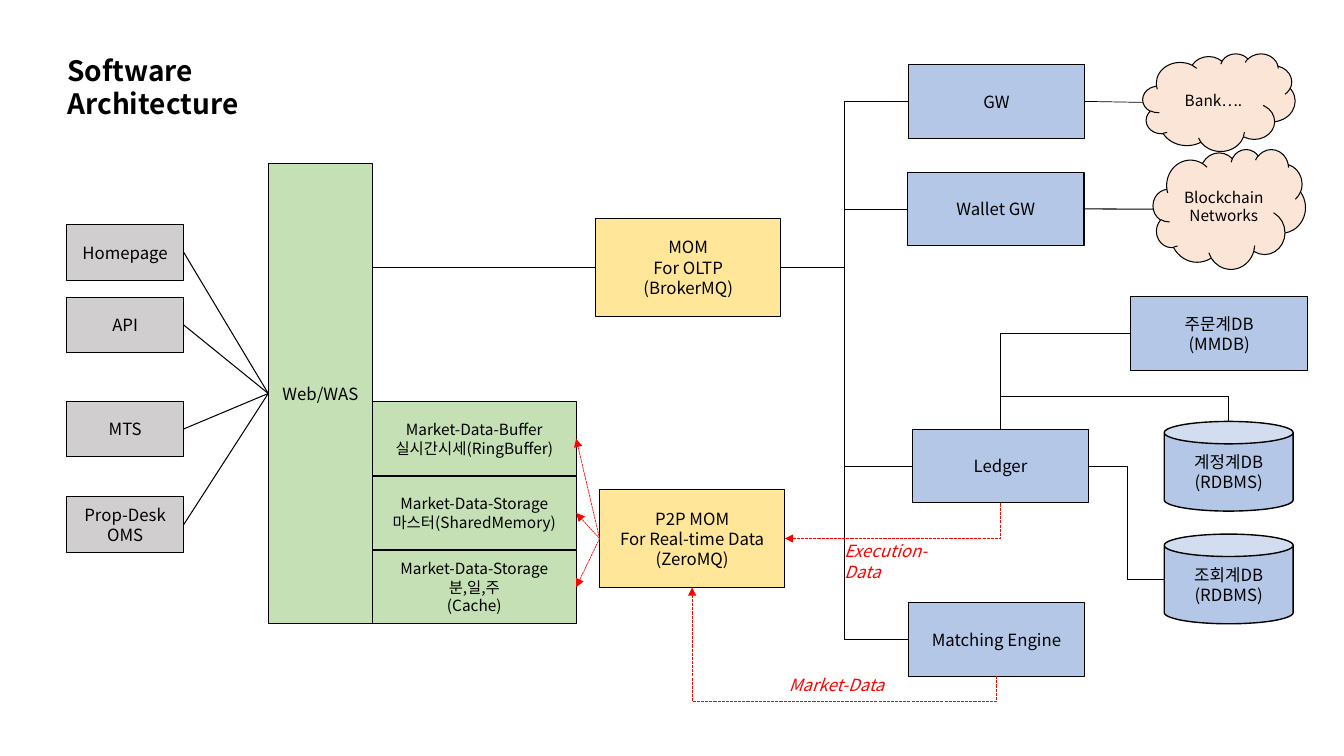
from lxml import etree
from pptx import Presentation
from pptx.dml.color import RGBColor
from pptx.enum.dml import MSO_LINE
from pptx.enum.shapes import MSO_CONNECTOR, MSO_SHAPE
from pptx.enum.text import MSO_ANCHOR, PP_ALIGN
from pptx.oxml.ns import qn
from pptx.util import Cm, Pt

RECT, CLOUD, CAN = MSO_SHAPE.RECTANGLE, MSO_SHAPE.CLOUD, MSO_SHAPE.CAN
STRAIGHT, ELBOW = MSO_CONNECTOR.STRAIGHT, MSO_CONNECTOR.ELBOW
CENTER, LEFT_ALIGN, MIDDLE = PP_ALIGN.CENTER, PP_ALIGN.LEFT, MSO_ANCHOR.MIDDLE
DASH = MSO_LINE.SQUARE_DOT
TOP, LEFT, BOTTOM, RIGHT = range(4)

THEME = {
    "font": "Noto Sans CJK KR",
    "ink": "000000", "alert": "FF0000",
    "client": "D0CECE", "web": "C5E0B4", "mom": "FFE699",
    "core": "B4C7E7", "outside": "FBE5D6",
    "title": 20, "body": 12, "small": 11,
    "thin": 0.5, "normal": 0.75, "bold": 1,
}

# Kinds of node: shape, fill, text size, outline, width and height in cm
KINDS = {
    "client": (RECT, "client", "body", "normal", 2.95, 1.4),
    "web": (RECT, "web", "body", "normal", 2.63, 11.61),
    "store": (RECT, "web", "small", "normal", 5.13, 1.85),
    "mom": (RECT, "mom", "body", "normal", 4.67, 2.46),
    "core": (RECT, "core", "body", "normal", 4.45, 1.85),
    "db": (CAN, "core", "body", "bold", 3.25, 2.26),
    "bank": (CLOUD, "outside", "small", "normal", 3.84, 2.46),
    "chain": (CLOUD, "outside", "small", "normal", 3.84, 3.02),
}

# Nodes: kind, left, top in cm, lines of text
STORE_TOP, STORE_PITCH = 10.13, 1.87
STORES = {
    "buffer": ["Market-Data-Buffer", "실시간시세(RingBuffer)"],
    "master": ["Market-Data-Storage", "마스터(SharedMemory)"],
    "periods": ["Market-Data-Storage", "분,일,주", "(Cache)"],
}
NODES = {
    "homepage": ("client", 1.68, 5.66, ["Homepage"]),
    "api": ("client", 1.68, 7.49, ["API"]),
    "mts": ("client", 1.68, 10.11, ["MTS"]),
    "prop": ("client", 1.68, 12.52, ["Prop-Desk", "OMS"]),
    "web": ("web", 6.76, 4.11, ["Web/WAS"]),
    "oltp": ("mom", 15.01, 5.51, ["MOM", "For OLTP", "(BrokerMQ)"]),
    "p2p": ("mom", 15.11, 12.34, ["P2P MOM", "For Real-time Data", "(ZeroMQ)"]),
    "gw": ("core", 22.89, 1.63, ["GW"]),
    "wallet": ("core", 22.87, 4.34, ["Wallet GW"]),
    "ledger": ("core", 22.99, 10.82, ["Ledger"]),
    "matching": ("core", 22.89, 15.19, ["Matching Engine"]),
    "orders": ("core", 28.5, 7.48, ["주문계DB", "(MMDB)"]),
    "accounts": ("db", 29.34, 10.62, ["계정계DB", "(RDBMS)"]),
    "queries": ("db", 29.34, 13.46, ["조회계DB", "(RDBMS)"]),
    "bank": ("bank", 28.8, 1.35, ["Bank…."]),
    "chain": ("chain", 29.06, 3.76, ["Blockchain", "Networks"]),
}
for row, (store, lines) in enumerate(STORES.items()):
    NODES[store] = ("store", 9.39, STORE_TOP + row * STORE_PITCH, lines)

# Captions: text, left, top, width, height in cm, size, colour, bold, italic
CAPTIONS = [
    ("Software Architecture", 1.45, 1.22, 5.3, 1.9, "title", "ink", True, False),
    ("Market-Data", 19.63, 16.89, 3.3, 0.76, "body", "alert", False, True),
    ("Execution-Data", 21.03, 13.51, 2.8, 1.3, "body", "alert", False, True),
]

# Straight links: from, side, to, side, colour, weight
STRAIGHTS = [(client, RIGHT, "web", LEFT, "ink", "normal")
             for client in ("homepage", "api", "mts", "prop")]
STRAIGHTS += [("p2p", LEFT, store, RIGHT, "alert", "thin") for store in STORES]
STRAIGHTS += [("gw", RIGHT, "bank", LEFT, "ink", "thin"),
              ("wallet", RIGHT, "chain", LEFT, "ink", "normal")]

# Bent links: from, side, to, side, colour, weight, arrow end, route, bend in cm
# "across" bends at an x, "along" bends at a y, "corner" turns once
TRUNK_X = 21.27
BENTS = [("oltp", RIGHT, core, LEFT, "ink", "thin", None, "across", TRUNK_X)
         for core in ("gw", "wallet", "ledger", "matching")]
BENTS += [
    ("ledger", RIGHT, "queries", LEFT, "ink", "thin", None, "across", 28.4),
    ("ledger", TOP, "accounts", TOP, "ink", "thin", None, "along", 9.98),
    ("orders", LEFT, "ledger", TOP, "ink", "thin", None, "corner", None),
    ("p2p", RIGHT, "ledger", BOTTOM, "alert", "normal", "headEnd", "corner", None),
    ("matching", BOTTOM, "p2p", BOTTOM, "alert", "normal", "tailEnd", "along", 17.68),
]


def color(name):
    return RGBColor.from_string(THEME[name])


def write(frame, lines, size, ink="ink", align=CENTER, bold=False, italic=False):
    frame.word_wrap = True
    for index, line in enumerate(lines):
        paragraph = frame.paragraphs[0] if index == 0 else frame.add_paragraph()
        paragraph.text = line
        paragraph.alignment = align
        font = paragraph.font
        font.name, font.size, font.bold, font.italic = (
            THEME["font"], Pt(THEME[size]), bold, italic)
        font.color.rgb = color(ink)
        for run in paragraph.runs:
            east_asian = etree.SubElement(run._r.get_or_add_rPr(), qn("a:ea"))
            east_asian.set("typeface", THEME["font"])


def side_point(node, side):
    kind, left, top, _ = NODES[node]
    width, height = KINDS[kind][4:]
    fx, fy = [(0.5, 0), (0, 0.5), (0.5, 1), (1, 0.5)][side]
    return left + fx * width, top + fy * height


def add_link(slide, style, start, end, ink, weight, arrow):
    link = slide.shapes.add_connector(style, *[Cm(v) for v in (*start, *end)])
    link.line.color.rgb = color(ink)
    link.line.width = Pt(THEME[weight])
    if ink == "alert":
        link.line.dash_style = DASH
    if arrow:
        line = link.line._get_or_add_ln()
        etree.SubElement(line, qn("a:" + arrow)).set("type", "triangle")
    etree.SubElement(link._element.spPr, qn("a:effectLst"))
    return link


def join(link, shapes, start, start_side, end, end_side):
    for connect, node, side in ((link.begin_connect, start, start_side),
                                (link.end_connect, end, end_side)):
        kind = KINDS[NODES[node][0]][0]
        if kind != CLOUD:
            # A can has one extra site ahead of its top
            connect(shapes[node], side + (kind == CAN))


def bend(link, start, end, route, level):
    (x0, y0), (x1, y1) = start, end
    width, height = abs(x1 - x0), abs(y1 - y0)
    flip_h, flip_v = x1 < x0, y1 < y0
    xfrm = link._element.spPr.find(qn("a:xfrm"))
    geometry = link._element.spPr.find(qn("a:prstGeom"))
    if route == "along":
        xfrm.set("rot", str(90 * 60000))
        width, height = height, width
        flip_h, flip_v = y1 < y0, x1 > x0
        share = (level - y0) / (y1 - y0)
    elif route == "across":
        share = (level - x0) / (x1 - x0)
    else:
        geometry.set("prst", "bentConnector2")
    xfrm.set("flipH", str(int(flip_h)))
    xfrm.set("flipV", str(int(flip_v)))
    link.left, link.top = Cm((x0 + x1 - width) / 2), Cm((y0 + y1 - height) / 2)
    link.width, link.height = Cm(width), Cm(height)
    if level is not None:
        guides = geometry.find(qn("a:avLst"))
        if guides is None:
            guides = etree.SubElement(geometry, qn("a:avLst"))
        guide = etree.SubElement(guides, qn("a:gd"))
        guide.set("name", "adj1")
        guide.set("fmla", f"val {round(share * 100000)}")


def main():
    deck = Presentation()
    deck.slide_width, deck.slide_height = Cm(33.87), Cm(19.05)
    slide = deck.slides.add_slide(deck.slide_layouts[6])

    # Nodes
    shapes = {}
    for node, (kind, left, top, lines) in NODES.items():
        preset, fill, size, outline, width, height = KINDS[kind]
        shape = slide.shapes.add_shape(preset, Cm(left), Cm(top), Cm(width), Cm(height))
        shape.shadow.inherit = False
        shape.fill.solid()
        shape.fill.fore_color.rgb = color(fill)
        shape.line.color.rgb = color("ink")
        shape.line.width = Pt(THEME[outline])
        shape.text_frame.vertical_anchor = MIDDLE
        write(shape.text_frame, lines, size)
        shapes[node] = shape

    # Straight links
    for start, start_side, end, end_side, ink, weight in STRAIGHTS:
        arrow = "tailEnd" if ink == "alert" else None
        link = add_link(slide, STRAIGHT, side_point(start, start_side),
                        side_point(end, end_side), ink, weight, arrow)
        join(link, shapes, start, start_side, end, end_side)

    # Web to the OLTP queue, level with the queue's middle
    web_x, queue = side_point("web", RIGHT)[0], side_point("oltp", LEFT)
    link = add_link(slide, STRAIGHT, (web_x, queue[1]), queue, "ink", "thin", None)
    link.end_connect(shapes["oltp"], LEFT)

    # Bent links
    for start, start_side, end, end_side, ink, weight, arrow, route, level in BENTS:
        ends = side_point(start, start_side), side_point(end, end_side)
        link = add_link(slide, ELBOW, *ends, ink, weight, arrow)
        join(link, shapes, start, start_side, end, end_side)
        bend(link, *ends, route, level)

    # Title and flow captions
    for text, left, top, width, height, size, ink, bold, italic in CAPTIONS:
        box = slide.shapes.add_textbox(Cm(left), Cm(top), Cm(width), Cm(height))
        write(box.text_frame, [text], size, ink, LEFT_ALIGN, bold, italic)

    deck.save("out.pptx")


if __name__ == "__main__":
    main()
